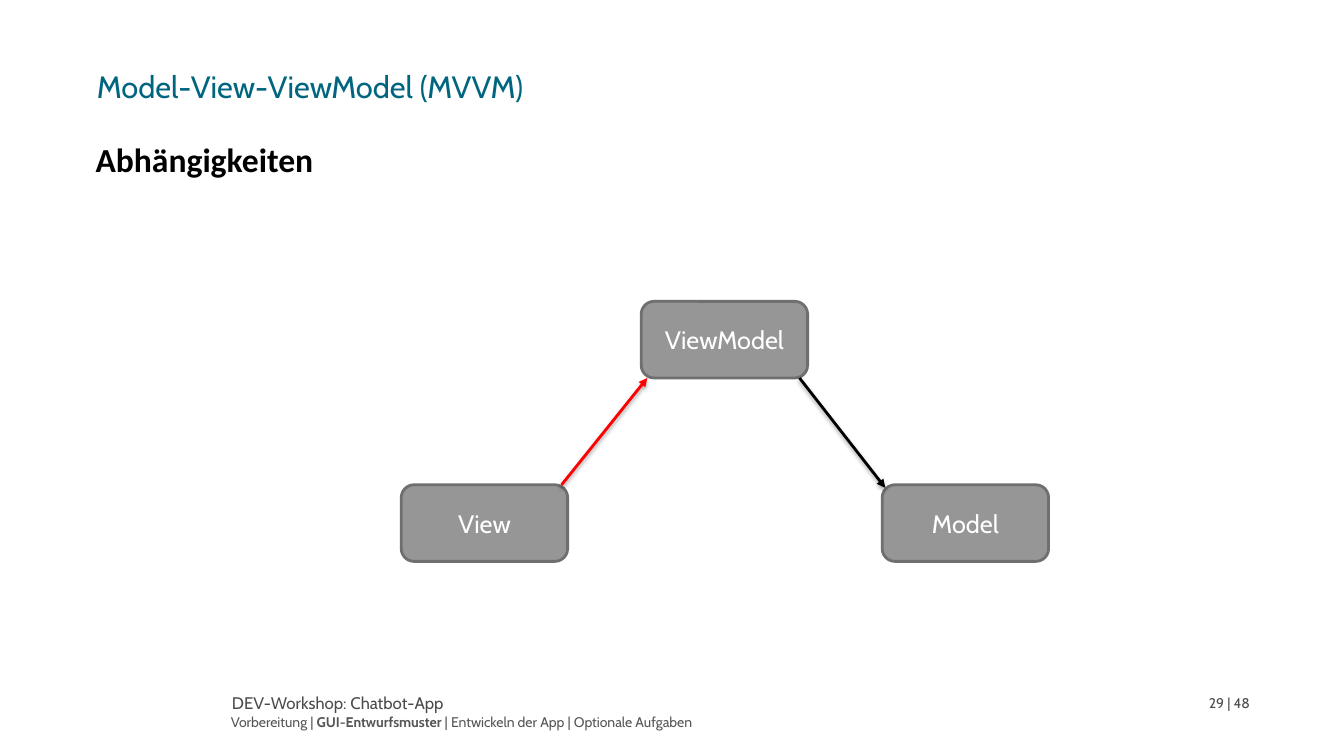
from lxml import etree
from pptx import Presentation
from pptx import util as u
from pptx.dml.color import RGBColor
from pptx.enum import shapes, text
from pptx.oxml import parse_xml
from pptx.oxml.ns import nsdecls, qn

PX = 9144  # 100 px to the inch
SHADE = f"""<a:effectLst {nsdecls('a')}>
  <a:outerShdw blurRad="39370" dist="22860" dir="5400000" rotWithShape="0">
    <a:srgbClr val="000000"><a:alpha val="35000"/></a:srgbClr>
  </a:outerShdw>
</a:effectLst>"""


def rgb(code):
    return RGBColor.from_string(code)


def write(shape, *runs, size, color, font="Cabin", bold=(), align="LEFT",
          anchor="TOP", pad=(10, 5), wrap=True, lead=None):
    frame = shape.text_frame
    frame.word_wrap = wrap
    frame.auto_size = text.MSO_AUTO_SIZE.NONE
    frame.vertical_anchor = text.MSO_ANCHOR[anchor]
    frame.margin_left = frame.margin_right = pad[0] * PX
    frame.margin_top = frame.margin_bottom = pad[1] * PX
    para = frame.paragraphs[0]
    para.alignment = text.PP_ALIGN[align]
    para.space_before = u.Pt(0)
    if lead:
        para.line_spacing = lead
    for item in runs:
        run = para.add_run()
        run.text = item
        run.font.name = font
        run.font.size = u.Pt(size)
        run.font.bold = item in bold
        run.font.color.rgb = rgb(color)


deck = Presentation()
deck.slide_width, deck.slide_height = 1333 * PX, 750 * PX
slide = deck.slides.add_slide(deck.slide_layouts[5])
parts = slide.shapes

# Title and subtitle
title = parts.title
title.left, title.top, title.width, title.height = [n * PX for n in (86, 62, 957, 43)]
write(title, "Model-View-ViewModel (MVVM)", size=22, color="00657F")
head = parts.add_textbox(85 * PX, 133 * PX, 246 * PX, 50 * PX)
write(head, "Abhängigkeiten", size=24, color="000000", font="Calibri",
      bold=["Abhängigkeiten"], wrap=False)

# Components
for name, left, top in [("ViewModel", 636, 299), ("View", 398, 481), ("Model", 875, 481)]:
    box = parts.add_shape(shapes.MSO_SHAPE.ROUNDED_RECTANGLE,
                          left * PX, top * PX, 165 * PX, 76 * PX)
    box.shadow.inherit = False
    box.fill.solid()
    box.fill.fore_color.rgb = rgb("969696")
    box.line.color.rgb = rgb("6F6F6F")
    box.line.width = u.Pt(2)
    write(box, name, size=18, color="FFFFFF", align="CENTER", anchor="MIDDLE")

# Dependency arrows
for ends, color in [((557, 481, 642, 375), "FF0000"), ((793, 375, 878, 484), "000000")]:
    arrow = parts.add_connector(shapes.MSO_CONNECTOR.STRAIGHT, *[n * PX for n in ends])
    arrow.line.color.rgb = rgb(color)
    arrow.line.width = u.Pt(2)
    etree.SubElement(arrow.line._get_or_add_ln(), qn("a:tailEnd"), type="triangle")
    arrow._element.spPr.append(parse_xml(SHADE))

# Footer
event = parts.add_textbox(230 * PX, 683 * PX, 827 * PX, 26 * PX)
write(event, "DEV-Workshop: Chatbot-App", size=12, color="4B4B4B", pad=(0, 0), lead=1.2)
trail = parts.add_textbox(229 * PX, 703 * PX, 544 * PX, 27 * PX)
write(trail, "Vorbereitung | ", "GUI-Entwurfsmuster",
      " | Entwickeln der App | Optionale Aufgaben",
      size=10, color="565656", bold=["GUI-Entwurfsmuster"], pad=(0, 5))
page = parts.add_textbox(1199 * PX, 689 * PX, 57 * PX, 17 * PX)
write(page, "29 | 48", size=10, color="4B4B4B", pad=(0, 0), wrap=False)

deck.save("out.pptx")
